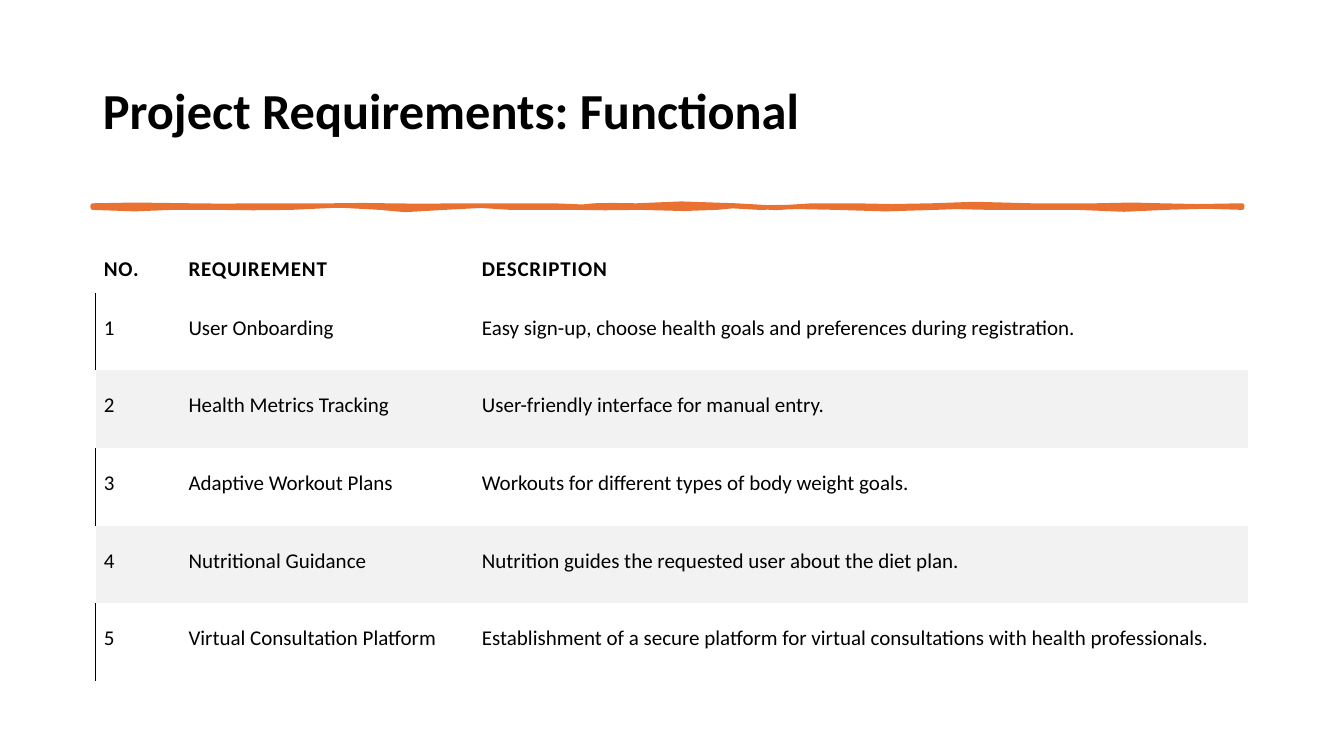
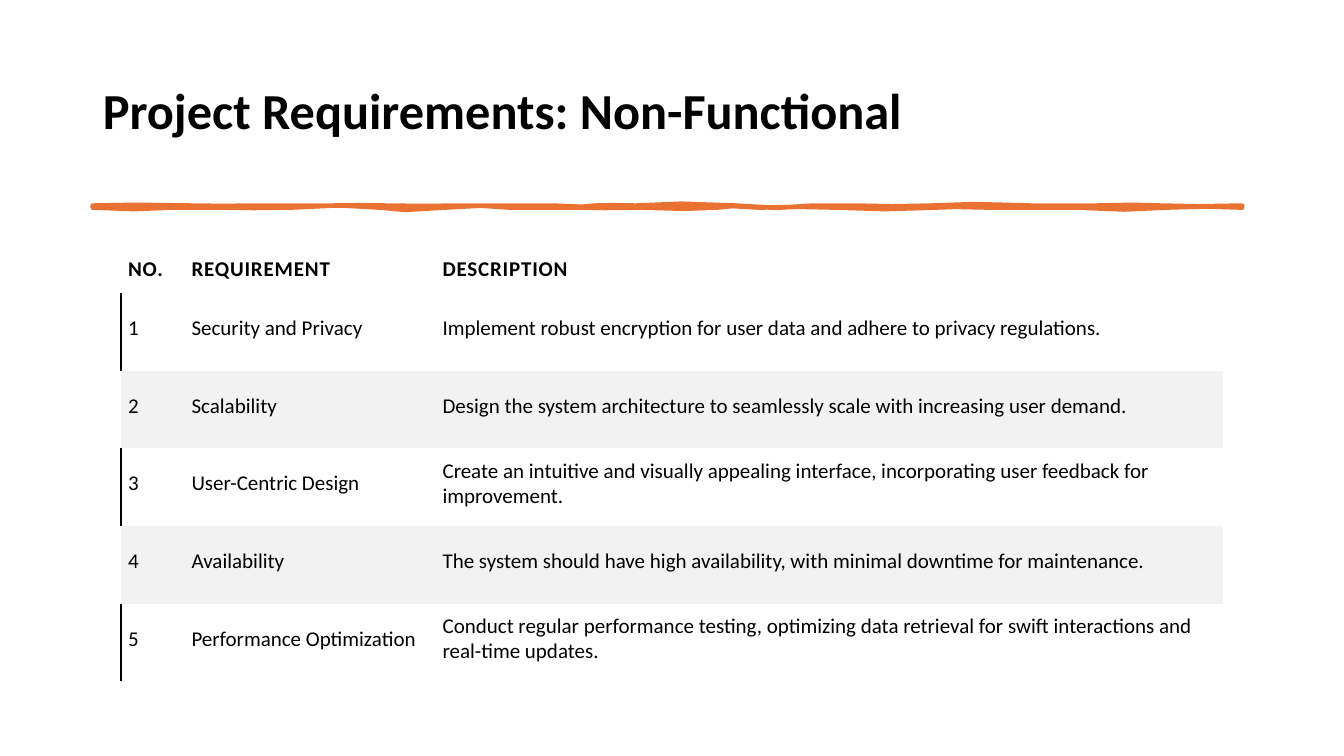
from lxml import etree
from pptx import Presentation
from pptx import util as u
from pptx.dml.color import RGBColor
from pptx.enum import text
from pptx.oxml import ns

COLORS = {"ink": "000000", "accent": "E97132", "band": "F2F2F2"}
FONT = "Calibri"
PLAIN_TABLE = "{2D5ABB26-0587-4C30-8999-92F81FD0307C}"
HEADINGS = ("NO.", "REQUIREMENT", "DESCRIPTION")

# Brush stroke outline: cubic curves as (control 1, control 2, end), in inches
STROKE_START = (0.92, 2.04)
STROKE_CURVES = [
    (1.19, 2.04, 1.44, 2.02, 1.9, 2.04), (2.37, 2.06, 2.2, 2.03, 2.44, 2.04),
    (2.67, 2.05, 3.03, 2.03, 3.31, 2.04), (3.6, 2.05, 3.59, 2.02, 3.84, 2.04),
    (4.1, 2.06, 4.23, 2.03, 4.6, 2.04), (4.98, 2.05, 5.14, 2.03, 5.48, 2.04),
    (5.81, 2.05, 5.81, 2.06, 5.89, 2.04), (5.98, 2.02, 6.15, 2.05, 6.31, 2.04),
    (6.47, 2.03, 7.01, 2, 7.3, 2.04), (7.59, 2.08, 7.81, 2.06, 8.06, 2.04),
    (8.31, 2.02, 8.27, 2.06, 8.48, 2.04), (8.68, 2.02, 9.01, 2.08, 9.24, 2.04),
    (9.47, 2, 9.82, 2.04, 10.23, 2.04), (10.63, 2.04, 10.63, 2.04, 10.87, 2.04),
    (11.12, 2.04, 11.36, 2.02, 11.52, 2.04), (11.68, 2.06, 12.03, 2.04, 12.32, 2.04),
    (12.32, 2.05, 12.32, 2.05, 12.32, 2.06), (12.05, 2.06, 11.89, 2.03, 11.56, 2.06),
    (11.22, 2.09, 11.1, 2.08, 10.68, 2.06), (10.27, 2.04, 10.23, 2.08, 9.81, 2.06),
    (9.39, 2.04, 9.52, 2.06, 9.28, 2.06), (9.04, 2.06, 8.51, 2.1, 8.29, 2.06),
    (8.06, 2.02, 7.82, 2.08, 7.53, 2.06), (7.24, 2.04, 7.25, 2.04, 7.11, 2.06),
    (6.98, 2.08, 6.61, 2.07, 6.35, 2.06), (6.09, 2.05, 5.9, 2.08, 5.7, 2.06),
    (5.51, 2.04, 5.28, 2.08, 5.06, 2.06), (4.83, 2.04, 4.73, 2.03, 4.41, 2.06),
    (4.09, 2.09, 3.9, 2.09, 3.77, 2.06), (3.63, 2.03, 3.1, 2.03, 2.89, 2.06),
    (2.68, 2.09, 2.35, 2.04, 2.13, 2.06), (1.92, 2.08, 1.89, 2.04, 1.71, 2.06),
    (1.54, 2.08, 1.14, 2.08, 0.92, 2.06),
]

SLIDES = [
    {
        "title": "Project Requirements: Functional",
        "left": 0.95, "cols": (0.84, 2.91, 7.68), "header": 0.47, "inset": 0.08,
        "rows": [
            ("User Onboarding",
             "Easy sign-up, choose health goals and preferences during registration."),
            ("Health Metrics Tracking", "User-friendly interface for manual entry."),
            ("Adaptive Workout Plans", "Workouts for different types of body weight goals."),
            ("Nutritional Guidance", "Nutrition guides the requested user about the diet plan."),
            ("Virtual Consultation Platform",
             "Establishment of a secure platform for virtual consultations "
             "with health professionals."),
        ],
    },
    {
        "title": "Project Requirements: Non-Functional",
        "left": 1.2, "cols": (0.63, 2.49, 7.81), "header": 0.48, "inset": 0.07,
        "rows": [
            ("Security and Privacy",
             "Implement robust encryption for user data and adhere to privacy regulations."),
            ("Scalability",
             "Design the system architecture to seamlessly scale with increasing user demand."),
            ("User-Centric Design",
             "Create an intuitive and visually appealing interface, "
             "incorporating user feedback for improvement."),
            ("Availability",
             "The system should have high availability, with minimal downtime for maintenance."),
            ("Performance Optimization",
             "Conduct regular performance testing, optimizing data retrieval "
             "for swift interactions and real-time updates."),
        ],
    },
]


def rgb(name):
    return RGBColor.from_string(COLORS[name])


def write(tf, content, size=15, bold=False, color="ink", spacing=0, line_spacing=None):
    p = tf.paragraphs[0]
    p.alignment = text.PP_ALIGN.LEFT
    p.line_spacing = line_spacing
    r = p.add_run()
    r.text = content
    r.font.name, r.font.size, r.font.bold = FONT, u.Pt(size), bold
    r.font.color.rgb = rgb(color)
    if spacing:
        r.font._element.set("spc", str(round(spacing * 100)))


def sample_curves(start, curves):
    """Return the middle and the end of each cubic curve in a chain."""
    points = []
    x0, y0 = start
    for x1, y1, x2, y2, x3, y3 in curves:
        points.append(((x0 + 3 * x1 + 3 * x2 + x3) / 8, (y0 + 3 * y1 + 3 * y2 + y3) / 8))
        points.append((x3, y3))
        x0, y0 = x3, y3
    return points


def add_left_border(cell, color="ink", width=1):
    tc_pr = cell._tc.get_or_add_tcPr()
    ln = etree.Element(ns.qn("a:lnL"), w=str(u.Pt(width)))
    fill = etree.SubElement(ln, ns.qn("a:solidFill"))
    etree.SubElement(fill, ns.qn("a:srgbClr"), val=COLORS[color])
    tc_pr.insert(0, ln)


class Deck:
    def __init__(self):
        self.prs = Presentation()
        self.prs.slide_width, self.prs.slide_height = u.Inches(13.33), u.Inches(7.5)
        self.s = None

    def new_slide(self, title):
        self.s = self.prs.slides.add_slide(self.prs.slide_layouts[5])
        sp = self.s.shapes.title
        sp.left, sp.top = u.Inches(0.92), u.Inches(0.4)
        sp.width, sp.height = u.Inches(11.5), u.Inches(1.45)
        tf = sp.text_frame
        tf.word_wrap, tf.auto_size = True, text.MSO_AUTO_SIZE.NONE
        tf.vertical_anchor = text.MSO_ANCHOR.MIDDLE
        write(tf, title, size=36, bold=True, line_spacing=0.9)
        self.brush_stroke()

    def brush_stroke(self):
        points = [(u.Inches(x), u.Inches(y))
                  for x, y in sample_curves(STROKE_START, STROKE_CURVES)]
        builder = self.s.shapes.build_freeform(*(u.Inches(v) for v in STROKE_START))
        builder.add_line_segments(points, close=True)
        sp = builder.convert_to_shape()
        sp.shadow.inherit = False
        sp.fill.solid()
        sp.fill.fore_color.rgb = sp.line.color.rgb = rgb("accent")
        sp.line.width = u.Pt(3.25)
        etree.SubElement(sp.element.spPr.find(ns.qn("a:ln")), ns.qn("a:round"))

    def requirements(self, rows, left, cols, header, inset, row_height=0.77):
        grid = [HEADINGS] + [(str(n), *row) for n, row in enumerate(rows, 1)]
        heights = [header] + [row_height] * len(rows)
        frame = self.s.shapes.add_table(
            len(grid), len(cols), u.Inches(left), u.Inches(2.43),
            u.Inches(sum(cols)), u.Inches(sum(heights)))
        table = frame.table
        table.first_row = table.horz_banding = False
        table._tbl.tblPr.find(ns.qn("a:tableStyleId")).text = PLAIN_TABLE
        for column, width in zip(table.columns, cols):
            column.width = u.Inches(width)
        for i, (values, height) in enumerate(zip(grid, heights)):
            table.rows[i].height = u.Inches(height)
            for j, value in enumerate(values):
                self.cell(table.cell(i, j), value, inset,
                          heading=i == 0, banded=i > 0 and i % 2 == 0)
            if i % 2:
                add_left_border(table.cell(i, 0))

    def cell(self, cell, value, inset, heading, banded):
        cell.margin_left = cell.margin_right = u.Inches(inset)
        cell.margin_top = u.Inches(0.11 if heading else 0.04)
        cell.margin_bottom = u.Inches(0.11)
        cell.vertical_anchor = text.MSO_ANCHOR.BOTTOM if heading else text.MSO_ANCHOR.MIDDLE
        if banded:
            cell.fill.solid()
            cell.fill.fore_color.rgb = rgb("band")
        else:
            cell.fill.background()
        write(cell.text_frame, value, bold=heading, spacing=0.6 if heading else 0)


def main():
    deck = Deck()
    for slide in SLIDES:
        deck.new_slide(slide["title"])
        deck.requirements(slide["rows"], slide["left"], slide["cols"],
                          slide["header"], slide["inset"])
    deck.prs.save("out.pptx")


if __name__ == "__main__":
    main()
